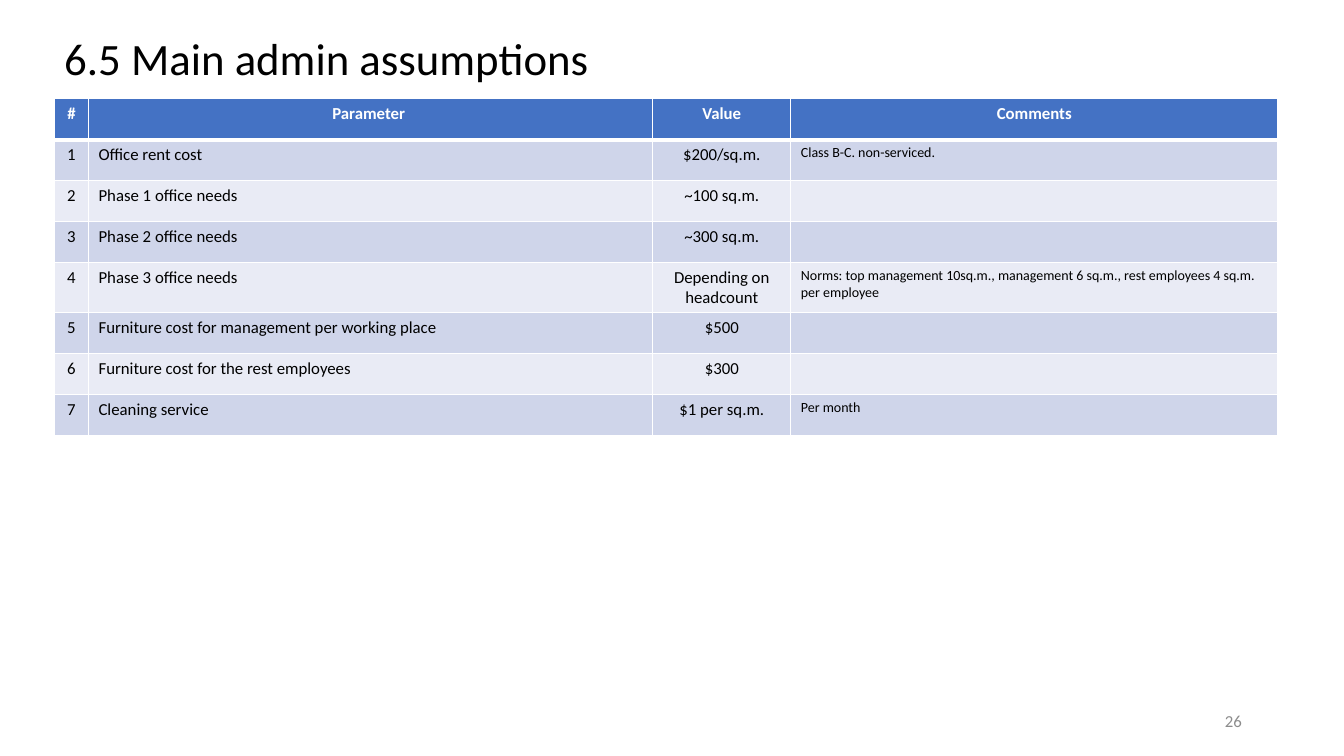
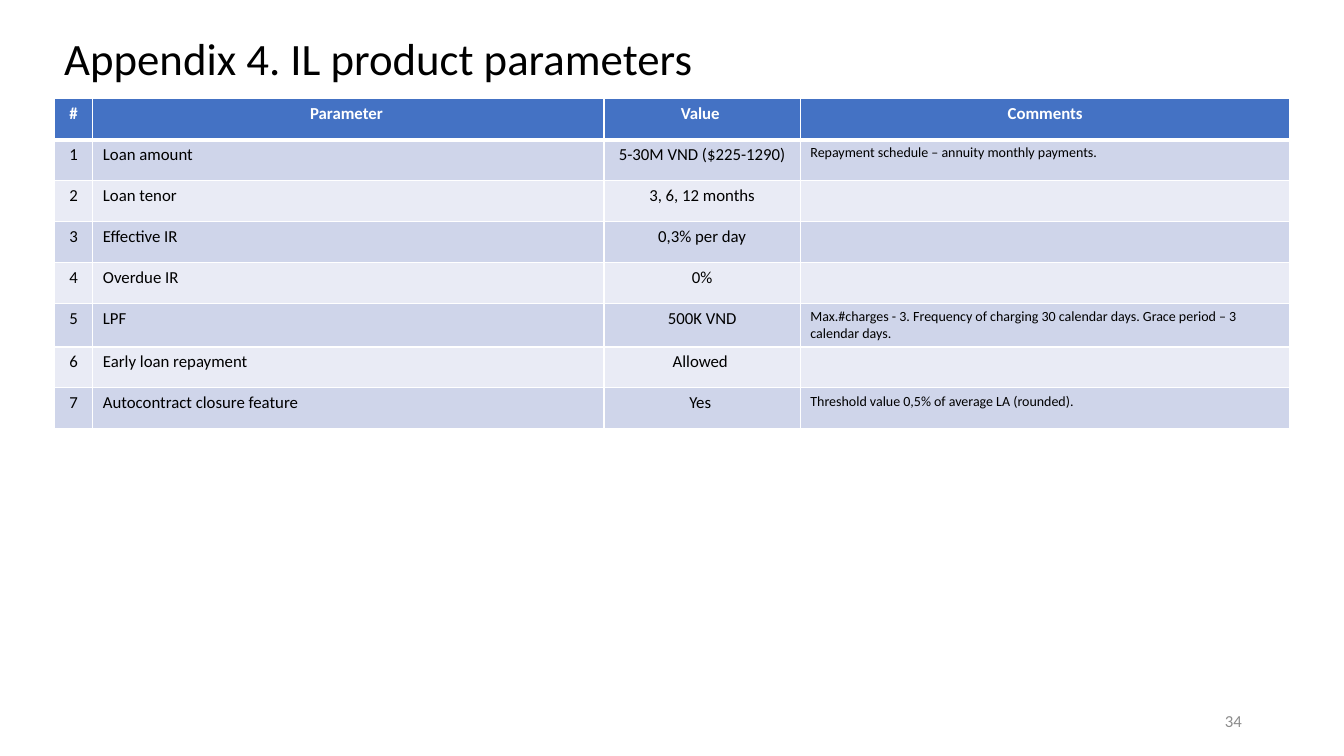
from lxml.etree import SubElement
from pptx import Presentation
from pptx.dml.color import RGBColor
from pptx.enum.text import MSO_ANCHOR, PP_ALIGN
from pptx.oxml.ns import qn
from pptx.util import Cm, Pt


def rgb(color):
    return RGBColor.from_string(color)


class Deck:
    FONT = "Calibri"
    BLACK, WHITE, GREY = "000000", "FFFFFF", "8C8C8C"
    HEADER, BANDS = "4472C4", ("CFD5EA", "E9EBF5")
    LEFT, TABLE_TOP, ROW_HEIGHT = 1.37, 2.49, 1.03
    BODY_SIZE, COMMENT_SIZE = 12, 10

    def __init__(self):
        self.prs = Presentation()
        self.prs.slide_width = Cm(33.87)
        self.prs.slide_height = Cm(19.05)
        self.s = None

    def add_slide(self, title, number):
        self.s = self.prs.slides.add_slide(self.prs.slide_layouts[6])
        self.text_box(23.93, 17.65, 7.62, 1.02, number, 12, self.GREY, PP_ALIGN.RIGHT)
        p = self.text_box(self.LEFT, 0.56, 24.77, 1.98, title, 32, self.BLACK)
        p.line_spacing = 0.9

    def add_text(self, tf, text, size, color, align=PP_ALIGN.LEFT, bold=False):
        p = tf.paragraphs[0]
        p.alignment = align
        r = p.add_run()
        r.text = text
        r.font.name = self.FONT
        r.font.size = Pt(size)
        r.font.bold = bold
        r.font.color.rgb = rgb(color)
        return p

    def text_box(self, x, y, w, h, text, size, color, align=PP_ALIGN.LEFT):
        sp = self.s.shapes.add_textbox(Cm(x), Cm(y), Cm(w), Cm(h))
        tf = sp.text_frame
        tf.word_wrap = True
        tf.vertical_anchor = MSO_ANCHOR.MIDDLE
        return self.add_text(tf, text, size, color, align)

    def borders(self, cell, top, bottom):
        tc_pr = cell._tc.get_or_add_tcPr()
        widths = {"a:lnL": 1, "a:lnR": 1, "a:lnT": top, "a:lnB": bottom}
        for i, (tag, width) in enumerate(widths.items()):
            ln = SubElement(tc_pr, qn(tag), w=str(Pt(width)))
            fill = SubElement(ln, qn("a:solidFill"))
            SubElement(fill, qn("a:srgbClr"), val=self.WHITE)
            tc_pr.insert(i, ln)

    def table(self, widths, header, rows):
        lines = [header]
        lines += [(str(n), *row) for n, row in enumerate(rows, 1)]
        frame = self.s.shapes.add_table(
            len(lines), len(widths), Cm(self.LEFT), Cm(self.TABLE_TOP),
            Cm(sum(widths)), Cm(self.ROW_HEIGHT * len(lines)))
        table = frame.table
        for column, width in zip(table.columns, widths):
            column.width = Cm(width)
        for i, line in enumerate(lines):
            table.rows[i].height = Cm(self.ROW_HEIGHT)
            is_header = i == 0
            for j, text in enumerate(line):
                cell = table.cell(i, j)
                cell.fill.solid()
                band = self.HEADER if is_header else self.BANDS[(i - 1) % 2]
                cell.fill.fore_color.rgb = rgb(band)
                self.borders(cell, 3 if i == 1 else 1, 3 if is_header else 1)
                if text:
                    centred = is_header or j in (0, 2)
                    is_comment = j == 3 and not is_header
                    self.add_text(
                        cell.text_frame, text,
                        self.COMMENT_SIZE if is_comment else self.BODY_SIZE,
                        self.WHITE if is_header else self.BLACK,
                        PP_ALIGN.CENTER if centred else PP_ALIGN.LEFT, is_header)


def main():
    deck = Deck()

    deck.add_slide("6.5 Main admin assumptions", "26")
    deck.table((0.86, 14.22, 3.48, 12.27), ("#", "Parameter ", "Value", "Comments"), [
        ("Office rent cost", "$200/sq.m.", "Class B-C. non-serviced."),
        ("Phase 1 office needs", "~100 sq.m.", ""),
        ("Phase 2 office needs", "~300 sq.m.", ""),
        ("Phase 3 office needs", "Depending on headcount",
         "Norms: top management 10sq.m., management 6 sq.m., "
         "rest employees 4 sq.m. per employee"),
        ("Furniture cost for management per working place", "$500", ""),
        ("Furniture cost for the rest employees", "$300", ""),
        ("Cleaning service", "$1 per sq.m.", "Per month"),
    ])

    deck.add_slide("Appendix 4. IL product parameters", "34")
    deck.table((0.97, 12.88, 4.95, 12.34), ("#", "Parameter ", "Value ", "Comments"), [
        ("Loan amount", "5-30M VND ($225-1290)",
         "Repayment schedule – annuity monthly payments."),
        ("Loan tenor", "3, 6, 12 months", ""),
        ("Effective IR", "0,3% per day", ""),
        ("Overdue IR", "0%", ""),
        ("LPF", "500K VND",
         "Max.#charges - 3. Frequency of charging 30 calendar days. "
         "Grace period – 3 calendar days."),
        ("Early loan repayment", "Allowed ", ""),
        ("Autocontract closure feature", "Yes ",
         "Threshold value 0,5% of average LA (rounded)."),
    ])

    deck.prs.save("out.pptx")


if __name__ == "__main__":
    main()
